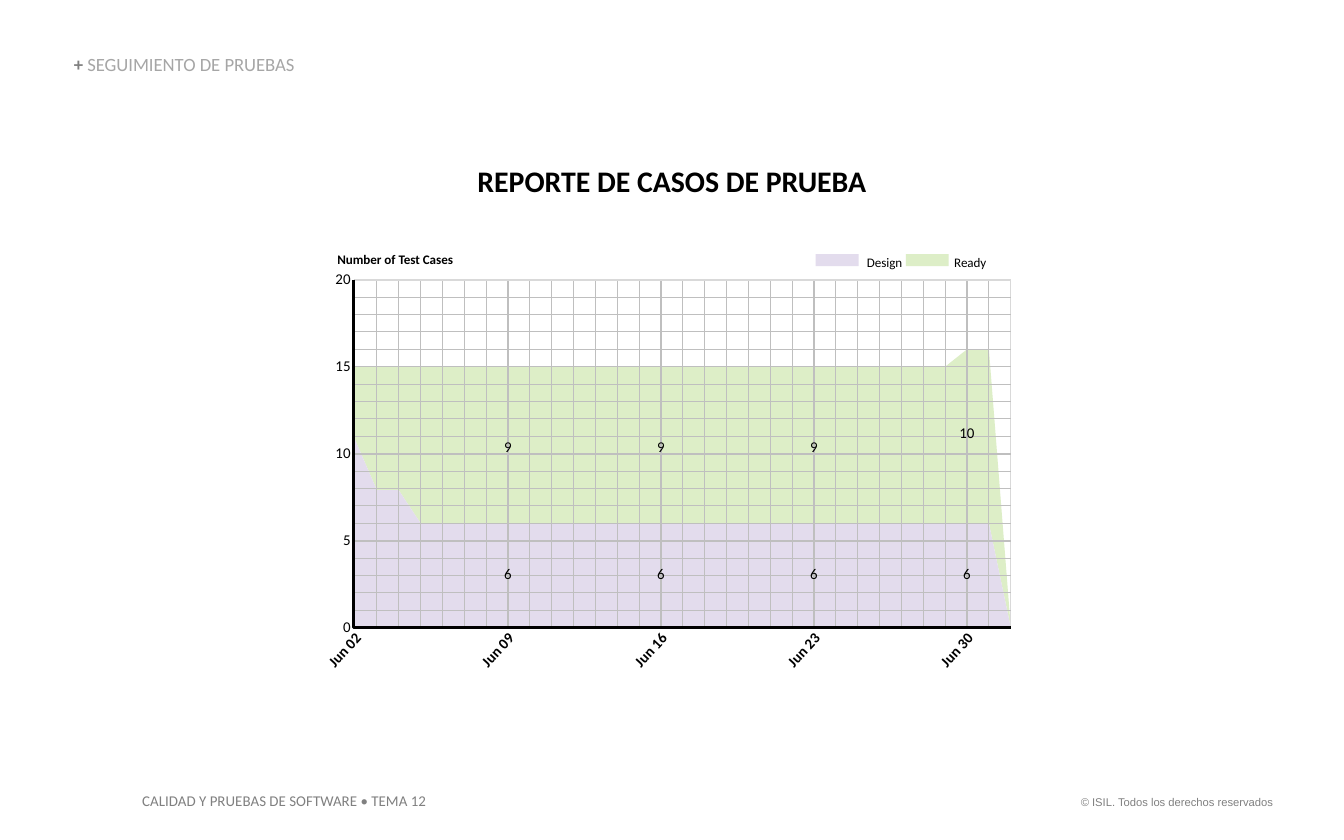
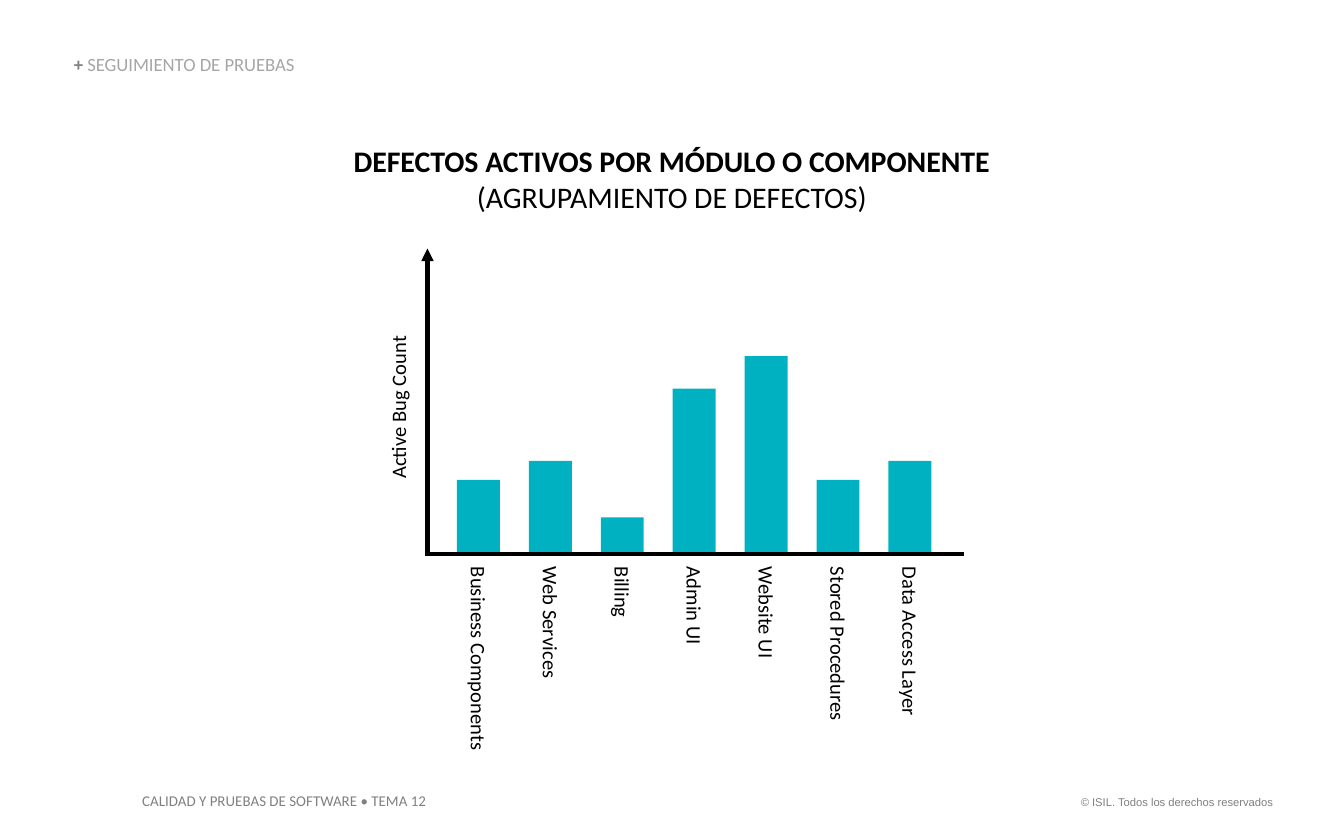
from dataclasses import dataclass
from typing import Optional

from lxml.etree import SubElement
from pptx import Presentation
from pptx.dml.color import RGBColor
from pptx.enum.shapes import MSO_CONNECTOR as CONN, MSO_SHAPE as SHAPE
from pptx.enum.text import MSO_ANCHOR as ANCHOR, PP_ALIGN as ALIGN
from pptx.oxml.ns import qn
from pptx.util import Pt

BLACK, GRAY, LIGHT_GRAY = "000000", "808080", "A6A6A6"
GRID, GRID_EDGE = "BFBFBF", "D9D9D9"
LILAC, GREEN, TEAL = "E3DCED", "DDEEC7", "00B1C2"
DEFAULT_INSETS = (7.2, 3.6, 7.2, 3.6)

# Area plot: one step per day and per test case
DAY_0, DAY_STEP, DAYS = 190.2, 11.71, 30
CASE_0, CASE_STEP, CASES = 336.24, 9.32, 20
AXIS_LEFT, PLOT_RIGHT = 189.4, 541.5

# Bar plot
BASELINE, BAR_LEFT, BAR_STEP, BAR_WIDTH = 296.64, 244.8, 38.52, 23.04
LABEL_HEIGHT = 20.9


@dataclass
class Box:
    left: float
    top: float
    width: float
    height: float

    def emu(self) -> tuple:
        return tuple(Pt(v) for v in (self.left, self.top, self.width, self.height))


@dataclass
class Area:
    color: str
    outline: list  # (day, cases)


@dataclass
class Legend:
    name: str
    color: str
    swatch_left: float
    text_left: float


@dataclass
class Week:
    day: int
    date: str
    design: Optional[int] = None
    ready: Optional[int] = None
    ready_top: float = 234.7


@dataclass
class Bar:
    name: str
    height: float
    label_length: float = 103


AREAS = [
    Area(GREEN, [(0, 15), (27, 15), (28, 16), (29, 16), (30, 0), (29, 6),
                 (3, 6), (2, 7.9), (1, 7.9), (0, 10.8)]),
    Area(LILAC, [(0, 10.8), (1, 7.9), (2, 7.9), (3, 6), (29, 6), (30, 0), (0, 0)]),
]
LEGENDS = [Legend("Design", LILAC, 437, 464.4), Legend("Ready", GREEN, 485.3, 511.2)]
WEEKS = [
    Week(0, "Jun 02"),
    Week(7, "Jun 09", 6, 9),
    Week(14, "Jun 16", 6, 9),
    Week(21, "Jun 23", 6, 9),
    Week(28, "Jun 30", 6, 10, 226.8),
]
BARS = [
    Bar("Business Components", 39.6, 117.4),
    Bar("Web Services", 49.7),
    Bar("Billing", 19.4),
    Bar("Admin UI", 88.4),
    Bar("Website UI", 105.8),
    Bar("Stored Procedures", 39.6),
    Bar("Data Access Layer", 49.7),
]


def rgb(color: str) -> RGBColor:
    return RGBColor.from_string(color)


def day_x(day: float) -> float:
    return DAY_0 + day * DAY_STEP


def case_y(cases: float) -> float:
    return CASE_0 - cases * CASE_STEP


def add_text(shapes, box: Box, *runs, size=8, font="Calibri", color=BLACK, bold=False,
             align=ALIGN.LEFT, anchor=ANCHOR.TOP, insets=(0, 0, 0, 0), wrap=True,
             rotation=0, line_spacing=None):
    """Write runs in one paragraph; a run is a string or (string, color, bold).

    A run that ends in a newline is followed by a line break.
    """
    sp = shapes.add_textbox(*box.emu())
    sp.rotation = rotation
    tf = sp.text_frame
    tf.word_wrap = wrap
    tf.vertical_anchor = anchor
    tf.margin_left, tf.margin_top, tf.margin_right, tf.margin_bottom = map(Pt, insets)
    p = tf.paragraphs[0]
    p.alignment = align
    p.line_spacing = line_spacing
    for run in runs:
        text, run_color, run_bold = (run, color, bold) if isinstance(run, str) else run
        r = p.add_run()
        r.text = text.rstrip("\n")
        r.font.name, r.font.size, r.font.bold = font, Pt(size), run_bold
        r.font.color.rgb = rgb(run_color)
        if text.endswith("\n"):
            p.add_line_break()


def add_rect(shapes, box: Box, color: str):
    sp = shapes.add_shape(SHAPE.RECTANGLE, *box.emu())
    sp.shadow.inherit = False
    sp.fill.solid()
    sp.fill.fore_color.rgb = rgb(color)
    sp.line.fill.background()


def add_line(shapes, x1: float, y1: float, x2: float, y2: float,
             color=GRID, width=0.5, arrow=False):
    line = shapes.add_connector(CONN.STRAIGHT, Pt(x1), Pt(y1), Pt(x2), Pt(y2))
    line.line.color.rgb = rgb(color)
    line.line.width = Pt(width)
    if arrow:
        SubElement(line.line._get_or_add_ln(), qn("a:tailEnd"), type="triangle")
    SubElement(line._element.spPr, qn("a:effectLst"))


def add_outline(shapes, points: list, fill=None, line=None, width=2):
    """Draw a closed filled shape, or an open line if there is no fill."""
    first, *rest = [(Pt(x), Pt(y)) for x, y in points]
    builder = shapes.build_freeform(*first)
    builder.add_line_segments(rest, close=fill is not None)
    sp = builder.convert_to_shape()
    sp.shadow.inherit = False
    if fill:
        sp.fill.solid()
        sp.fill.fore_color.rgb = rgb(fill)
    else:
        sp.fill.background()
    if line:
        sp.line.color.rgb = rgb(line)
        sp.line.width = Pt(width)
    else:
        sp.line.fill.background()


def add_slide(prs):
    """Add a blank slide with the shared header and footers."""
    s = prs.slides.add_slide(prs.slide_layouts[6])
    add_text(s.shapes, Box(567.4, 422.6, 121.7, 14.4),
             "© ISIL. Todos los derechos reservados", size=6, font="Arial", color=GRAY,
             align=ALIGN.RIGHT, insets=DEFAULT_INSETS, wrap=False)
    add_text(s.shapes, Box(69.1, 420.5, 170.6, 17.3),
             "CALIDAD Y PRUEBAS DE SOFTWARE • TEMA 12", color=GRAY,
             insets=DEFAULT_INSETS, wrap=False)
    add_text(s.shapes, Box(39.6, 29.5, 259.9, 10.8), ("+ ", GRAY, True),
             ("SEGUIMIENTO DE PRUEBAS", LIGHT_GRAY, False), size=10,
             anchor=ANCHOR.BOTTOM, line_spacing=0.9)
    return s


def add_title(s, box: Box, *runs):
    add_text(s.shapes, box, *runs, size=16, bold=True, align=ALIGN.CENTER)


def draw_grid(shapes):
    top = case_y(CASES)
    for day in range(1, DAYS + 1):
        add_line(shapes, day_x(day), top, day_x(day), CASE_0,
                 GRID_EDGE if day == DAYS else GRID, 0.5 if day % 7 else 1)
    for cases in range(1, CASES + 1):
        add_line(shapes, AXIS_LEFT, case_y(cases), PLOT_RIGHT, case_y(cases),
                 GRID_EDGE if cases == CASES else GRID, 1 if cases in (5, 10, 20) else 0.5)


def test_case_slide(prs):
    s = add_slide(prs)
    shapes = s.shapes
    add_title(s, Box(247, 87.1, 226, 19.4), "REPORTE DE CASOS DE PRUEBA")
    for area in AREAS:
        add_outline(shapes, [(day_x(d), case_y(c)) for d, c in area.outline], fill=area.color)
    draw_grid(shapes)
    add_outline(shapes, [(AXIS_LEFT, case_y(CASES)), (AXIS_LEFT, CASE_0),
                         (PLOT_RIGHT, CASE_0)], line=BLACK)

    for cases in range(0, CASES + 1, 5):
        add_text(shapes, Box(175.7, case_y(cases) - 5.4, 12.2, 9.4), str(cases),
                 align=ALIGN.RIGHT)
    for week in WEEKS:
        x = day_x(week.day)
        add_text(shapes, Box(x - 22.4, 343.4, 33.1, 9.4), week.date, bold=True,
                 align=ALIGN.CENTER, rotation=312.6)
        for value, top in ((week.ready, week.ready_top), (week.design, 302.4)):
            if value is not None:
                add_text(shapes, Box(x - 6.1, top, 12.2, 9.4), str(value),
                         align=ALIGN.CENTER)

    add_text(shapes, Box(180.7, 134.6, 85.7, 8.6), "Number of Test Cases", size=7, bold=True)
    for legend in LEGENDS:
        add_rect(shapes, Box(legend.swatch_left, 136.1, 23, 6.5), legend.color)
        add_text(shapes, Box(legend.text_left, 136.1, 26.6, 8.6), legend.name, size=7)


def defect_slide(prs):
    s = add_slide(prs)
    add_title(s, Box(180, 76.3, 360, 38.9), "DEFECTOS ACTIVOS POR MÓDULO O COMPONENTE\n",
              ("(AGRUPAMIENTO DE DEFECTOS)", BLACK, False))
    shapes = s.shapes.add_group_shape().shapes
    for i, bar in enumerate(BARS):
        left = BAR_LEFT + i * BAR_STEP
        add_rect(shapes, Box(left, BASELINE - bar.height, BAR_WIDTH, bar.height), TEAL)
        # The box turns about its centre, so its upper end meets the baseline
        length = bar.label_length
        label = Box(left + (BAR_WIDTH - length) / 2,
                    BASELINE + (length - LABEL_HEIGHT) / 2, length, LABEL_HEIGHT)
        add_text(shapes, label, bar.name, size=11, insets=DEFAULT_INSETS, rotation=90)
    add_text(shapes, Box(156.2, 195.8, 114.5, LABEL_HEIGHT), "Active Bug Count", size=11,
             insets=DEFAULT_INSETS, rotation=270)
    add_line(shapes, 516.2, BASELINE, 227.5, BASELINE, BLACK, 2.25)
    add_line(shapes, 229, BASELINE, 229, 133.2, BLACK, 2.25, arrow=True)


def main():
    prs = Presentation()
    prs.slide_width, prs.slide_height = Pt(720), Pt(450)
    test_case_slide(prs)
    defect_slide(prs)
    prs.save("out.pptx")


if __name__ == "__main__":
    main()
